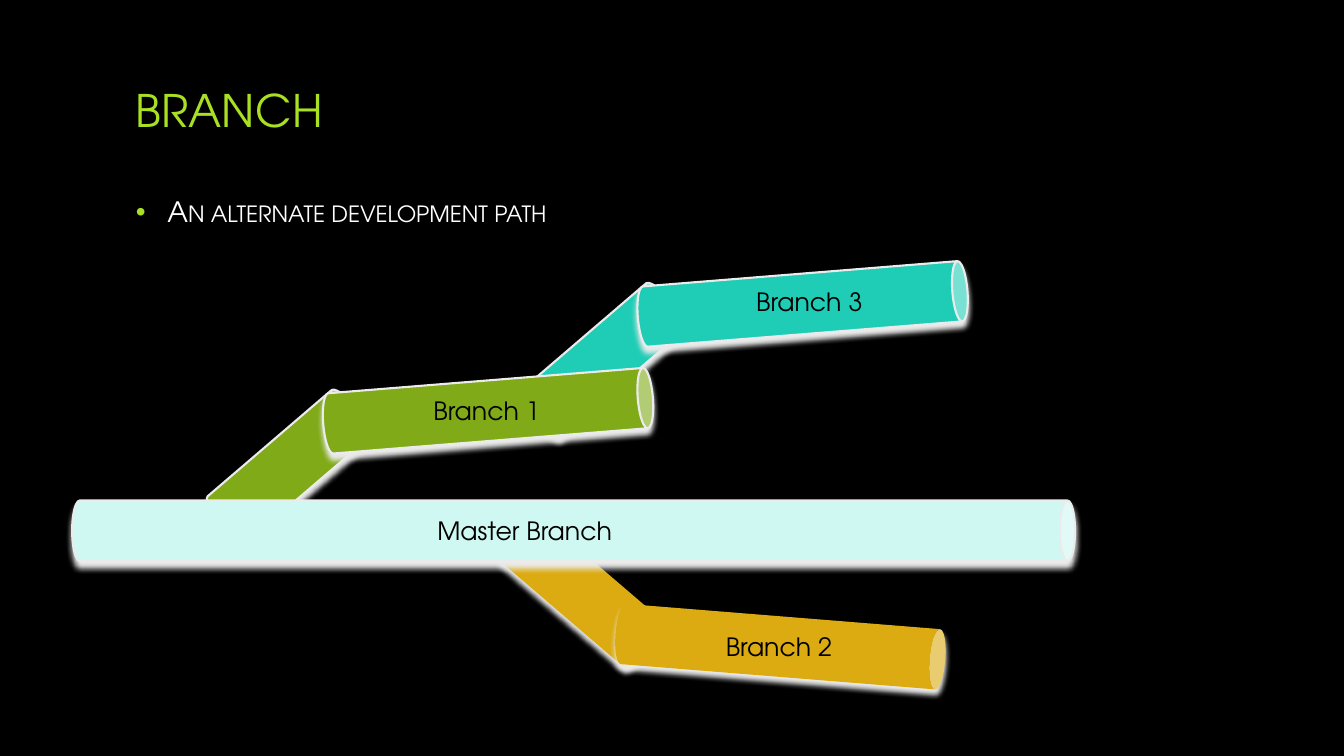
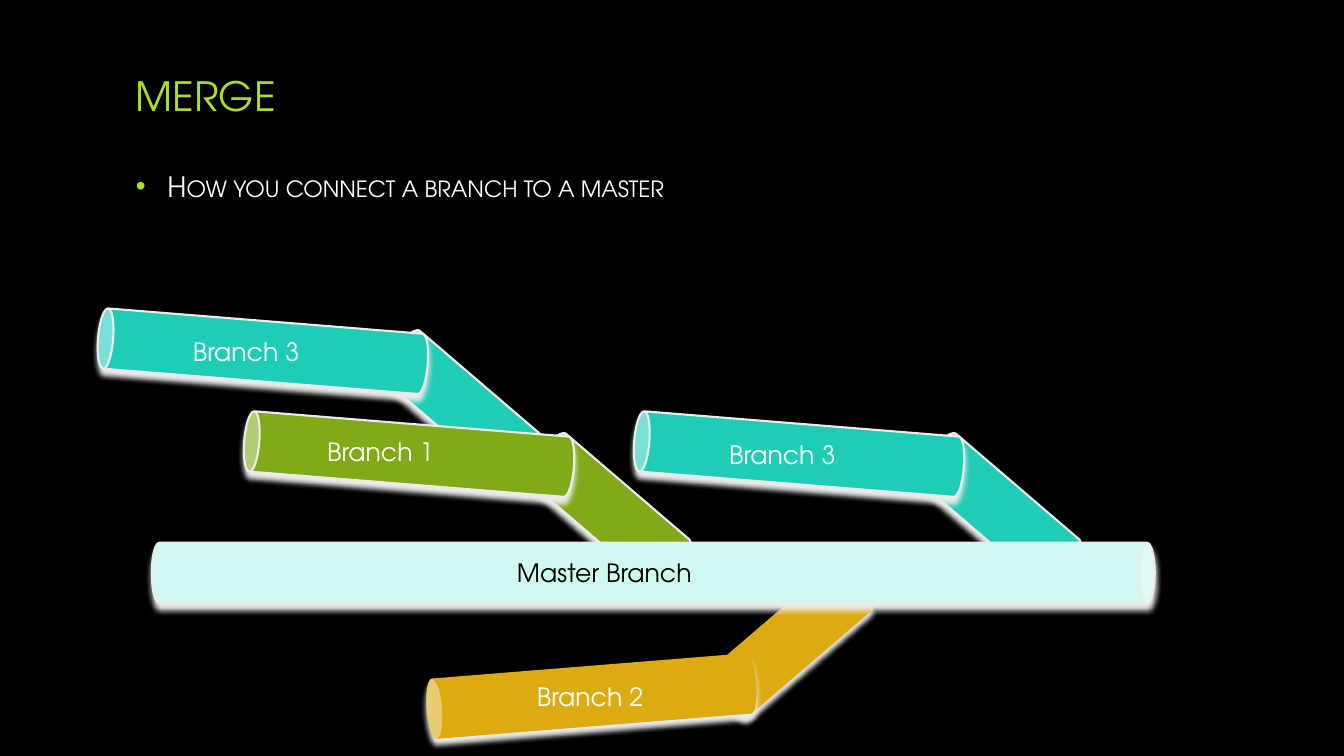
from lxml import etree
from pptx import Presentation
from pptx.dml.color import RGBColor
from pptx.enum.shapes import MSO_SHAPE
from pptx.enum.text import MSO_ANCHOR, MSO_AUTO_SIZE
from pptx.oxml.ns import qn
from pptx.util import Pt

CAN = MSO_SHAPE.CAN
MIDDLE = MSO_ANCHOR.MIDDLE
GROW = MSO_AUTO_SIZE.SHAPE_TO_FIT_TEXT

# Style
FONT = "TeX Gyre Adventor"
BLACK = RGBColor(0x00, 0x00, 0x00)
WHITE = RGBColor(0xFF, 0xFF, 0xFF)
LIME = RGBColor(0xA9, 0xE0, 0x23)
TEAL = RGBColor(0x1F, 0xCD, 0xB6)
GREEN = RGBColor(0x80, 0xAA, 0x18)
GOLD = RGBColor(0xDC, 0xAB, 0x11)
MINT = RGBColor(0xCF, 0xF8, 0xF2)
SILVER = RGBColor(0xEB, 0xEB, 0xEB)

# Directions of a branch
RIGHT, LEFT = 1, -1
UP, DOWN = -1, 1

# Pipe geometry, in points
THICKNESS = 43.2
STUB_LENGTH, STUB_ANGLE = 127.4, 49.4
ARM_LENGTH, ARM_ANGLE = 236.2, 85.4
ARM_DX, ARM_DY = 142, 39.6
MASTER_LENGTH = 716.4
LABEL_HEIGHT = 28.8
TEXT_LEFT, TEXT_WIDTH = 90, 780


class BranchDeck:
    def __init__(self):
        self.prs = Presentation()
        self.prs.slide_width, self.prs.slide_height = Pt(960), Pt(540)
        self.slide = None

    def new_slide(self):
        self.slide = self.prs.slides.add_slide(self.prs.slide_layouts[6])
        background = self.slide.background.fill
        background.solid()
        background.fore_color.rgb = BLACK

    def text(self, words, left, top, width, height, size, color):
        box = self.slide.shapes.add_textbox(Pt(left), Pt(top), Pt(width), Pt(height))
        frame = box.text_frame
        frame.text = words
        frame.word_wrap = True
        frame.vertical_anchor = MIDDLE
        font = frame.paragraphs[0].runs[0].font
        font.name, font.size = FONT, Pt(size)
        font.color.rgb = color
        return box

    def title(self, words, height, size):
        self.text(words, TEXT_LEFT, 48, TEXT_WIDTH, height, size, LIME)

    def bullet(self, words, top):
        box = self.text(words, TEXT_LEFT, top, TEXT_WIDTH, 60, 20, WHITE)
        paragraph = box.text_frame.paragraphs[0]
        paragraph.space_before, paragraph.space_after = Pt(4), Pt(6)
        paragraph.runs[0].font._element.set("cap", "small")
        props = paragraph._p.get_or_add_pPr()
        props.set("marL", str(Pt(22.5)))
        props.set("indent", str(Pt(-22.5)))
        bullet_color = etree.SubElement(props, qn("a:buClr"))
        etree.SubElement(bullet_color, qn("a:srgbClr"), val=str(LIME))
        etree.SubElement(props, qn("a:buFont"), typeface="Arial")
        etree.SubElement(props, qn("a:buChar"), char="•")

    def label(self, words, x, y, width, color, plate=None, wrap=False):
        """Caption centred on x, y, with an optional plate colour."""
        box = self.text(words, x - width / 2, y - LABEL_HEIGHT / 2,
                        width, LABEL_HEIGHT, 18, color)
        box.text_frame.vertical_anchor = MSO_ANCHOR.TOP
        box.text_frame.word_wrap = wrap
        box.text_frame.auto_size = GROW
        if plate is not None:
            box.fill.solid()
            box.fill.fore_color.rgb = plate

    def pipe(self, x, y, length, angle, color, dx=RIGHT, dy=UP):
        """Can centred on x, y; dx and dy mirror the rising-right form."""
        can = self.slide.shapes.add_shape(
            CAN, Pt(x - THICKNESS / 2), Pt(y - length / 2), Pt(THICKNESS), Pt(length))
        can.rotation = -dx * dy * angle % 360
        frame = can._element.spPr.find(qn("a:xfrm"))
        if dx == LEFT:
            frame.set("flipH", "1")
        if dy == DOWN:
            frame.set("flipV", "1")
        can.fill.solid()
        can.fill.fore_color.rgb = color
        if color == GOLD:
            can.line.fill.background()
        else:
            can.line.color.rgb = SILVER
            can.line.width = Pt(1.5)
        self.glow(can)

    def glow(self, shape):
        """Light shadow that always falls straight down."""
        shape.shadow.inherit = False
        effects = shape._element.spPr.find(qn("a:effectLst"))
        shadow = etree.SubElement(
            effects, qn("a:outerShdw"), blurRad=str(Pt(4)), dist=str(Pt(4)),
            dir="5400000", algn="ctr", rotWithShape="0")
        etree.SubElement(shadow, qn("a:srgbClr"), val=str(SILVER))

    def branch(self, words, x, y, dx, dy, color, text_color,
               shift=(0, 0), plate=None):
        """Stub centred on x, y and the arm that leaves it."""
        arm_x, arm_y = x + dx * ARM_DX, y + dy * ARM_DY
        self.pipe(x, y, STUB_LENGTH, STUB_ANGLE, color, dx, dy)
        self.pipe(arm_x, arm_y, ARM_LENGTH, ARM_ANGLE, color, dx, dy)
        self.label(words, arm_x + shift[0], arm_y + shift[1], 92.2, text_color, plate)

    def master(self, x, y):
        self.pipe(x, y, MASTER_LENGTH, 90, MINT)
        self.label("Master Branch", x - 32.4, y, 144, BLACK, MINT, wrap=True)


def main():
    deck = BranchDeck()

    # Branches leaving the master
    deck.new_slide()
    deck.title("BRANCH", 60, 32)
    deck.bullet("An alternate development path", 121)
    deck.branch("Branch 3", 431.3, 256.7, RIGHT, UP, TEAL, BLACK, shift=(5.8, -2))
    deck.branch("Branch 1", 206.6, 333, RIGHT, UP, GREEN, BLACK, plate=GREEN)
    deck.branch("Branch 2", 415.4, 422.3, RIGHT, DOWN, GOLD, BLACK)
    deck.master(409.7, 379.1)

    # Branches joining the master
    deck.new_slide()
    deck.title("MERGE", 40, 28.8)
    deck.bullet("How you connect a branch to a master", 103)
    for x, y in ((329.8, 290.5), (712.8, 364)):
        deck.branch("Branch 3", x, y, LEFT, UP, TEAL, WHITE, shift=(-11, 0))
    deck.branch("Branch 1", 434.2, 364, LEFT, UP, GREEN, WHITE,
                shift=(-19.5, -2), plate=GREEN)
    deck.branch("Branch 2", 564.5, 457.6, LEFT, DOWN, GOLD, WHITE)
    deck.master(466.6, 409.3)

    deck.prs.save("out.pptx")


if __name__ == "__main__":
    main()
